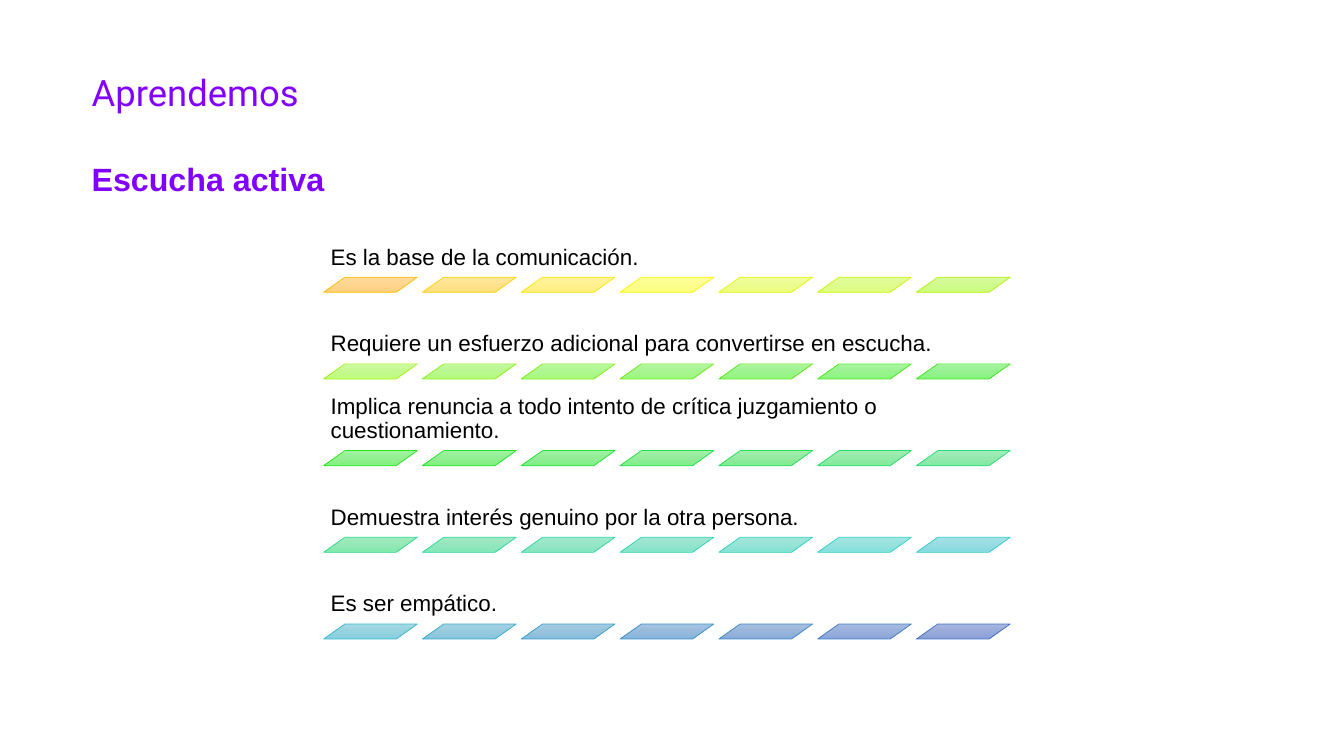
import colorsys

import pptx
import pptx.dml.color
import pptx.enum.shapes
import pptx.enum.text
import pptx.oxml
import pptx.oxml.ns
import pptx.util

Inches = pptx.util.Inches
Pt = pptx.util.Pt

# Content
TITLE = "Aprendemos"
SUBTITLE = "Escucha activa"
IDEAS = [
    "Es la base de la comunicación.",
    "Requiere un esfuerzo adicional para convertirse en escucha.",
    "Implica renuncia a todo intento de crítica juzgamiento o cuestionamiento.",
    "Demuestra interés genuino por la otra persona.",
    "Es ser empático.",
]
COLORS = {"heading": "8200FF", "text": "000000",
          "first_bar": "FFC000", "last_bar": "4472C4"}

# Layout, in inches
IDEA_LEFT, IDEA_TOP, IDEA_WIDTH, IDEA_HEIGHT = 3.21, 2.12, 6.94, 0.63
ROW_STEP, BAR_STEP = 0.86, 0.98
BAR_WIDTH, BAR_HEIGHT, BAR_SLANT = 0.93, 0.15, 1.41
BARS_PER_ROW = 7
# Each stop: position, luminance, saturation and tint, in percent
BAR_STOPS = [(0, 110, 105, 67), (50, 105, 103, 73), (100, 105, 109, 81)]


def rgb(color):
    return pptx.dml.color.RGBColor.from_string(color)


def hls(color):
    return colorsys.rgb_to_hls(*(channel / 255 for channel in rgb(color)))


def bar_color(index):
    """Step evenly through hue, lightness and saturation."""
    share = index / (len(IDEAS) * BARS_PER_ROW - 1)
    ends = zip(hls(COLORS["first_bar"]), hls(COLORS["last_bar"]))
    mixed = colorsys.hls_to_rgb(*(a + (b - a) * share for a, b in ends))
    return "".join(f"{round(channel * 255):02X}" for channel in mixed)


def write(box, text, font, size, color, anchor, bold=False, spacing=None, inset=None):
    frame = box.text_frame
    frame.word_wrap = True
    frame.auto_size = pptx.enum.text.MSO_AUTO_SIZE.NONE
    frame.vertical_anchor = anchor
    if inset is not None:
        frame.margin_left = frame.margin_right = inset
        frame.margin_top = frame.margin_bottom = inset
    para = frame.paragraphs[0]
    para.alignment = pptx.enum.text.PP_ALIGN.LEFT
    para.line_spacing = spacing
    span = para.add_run()
    span.text = text
    span.font.name = font
    span.font.size = Pt(size)
    span.font.bold = bold
    span.font.color.rgb = rgb(color)


def fill_gradient(bar, color):
    stops = "".join(
        f'<a:gs pos="{position * 1000}"><a:srgbClr val="{color}">'
        f'<a:lumMod val="{luminance * 1000}"/><a:satMod val="{saturation * 1000}"/>'
        f'<a:tint val="{tint * 1000}"/></a:srgbClr></a:gs>'
        for position, luminance, saturation, tint in BAR_STOPS)
    gradient = pptx.oxml.parse_xml(
        f'<a:gradFill {pptx.oxml.ns.nsdecls("a")} rotWithShape="1"><a:gsLst>{stops}'
        '</a:gsLst><a:lin ang="5400000" scaled="0"/></a:gradFill>')
    bar._element.spPr.find(pptx.oxml.ns.qn("a:prstGeom")).addnext(gradient)


def add_bar(page, left, top, color):
    bar = page.shapes.add_shape(
        pptx.enum.shapes.MSO_SHAPE.PARALLELOGRAM,
        Inches(left), Inches(top), Inches(BAR_WIDTH), Inches(BAR_HEIGHT))
    bar.adjustments[0] = BAR_SLANT
    bar.shadow.inherit = False
    bar.line.color.rgb = rgb(color)
    bar.line.width = Pt(0.5)
    fill_gradient(bar, color)


def main():
    deck = pptx.Presentation()
    deck.slide_width, deck.slide_height = Inches(13.33), Inches(7.5)
    page = deck.slides.add_slide(deck.slide_layouts.get_by_name("Title Only"))
    anchors = pptx.enum.text.MSO_ANCHOR

    # Headings
    title = page.shapes.title
    title.left, title.top = Inches(0.81), Inches(0.73)
    title.width, title.height = Inches(11.73), Inches(0.42)
    write(title, TITLE, "Roboto", 26, COLORS["heading"], anchors.MIDDLE, spacing=0.9)
    subtitle = page.shapes.add_textbox(
        Inches(0.81), Inches(1.53), Inches(11.73), Inches(0.59))
    write(subtitle, SUBTITLE, "Arial", 23, COLORS["heading"], anchors.TOP, bold=True)

    # Ideas, each above a row of bars
    for row, idea in enumerate(IDEAS):
        top = IDEA_TOP + row * ROW_STEP
        box = page.shapes.add_textbox(
            Inches(IDEA_LEFT), Inches(top), Inches(IDEA_WIDTH), Inches(IDEA_HEIGHT))
        write(box, idea, "Arial", 16, COLORS["text"], anchors.BOTTOM,
              spacing=0.9, inset=Inches(0.07))
        for column in range(BARS_PER_ROW):
            add_bar(page, IDEA_LEFT + column * BAR_STEP, top + IDEA_HEIGHT,
                    bar_color(row * BARS_PER_ROW + column))

    deck.save("out.pptx")


if __name__ == "__main__":
    main()
